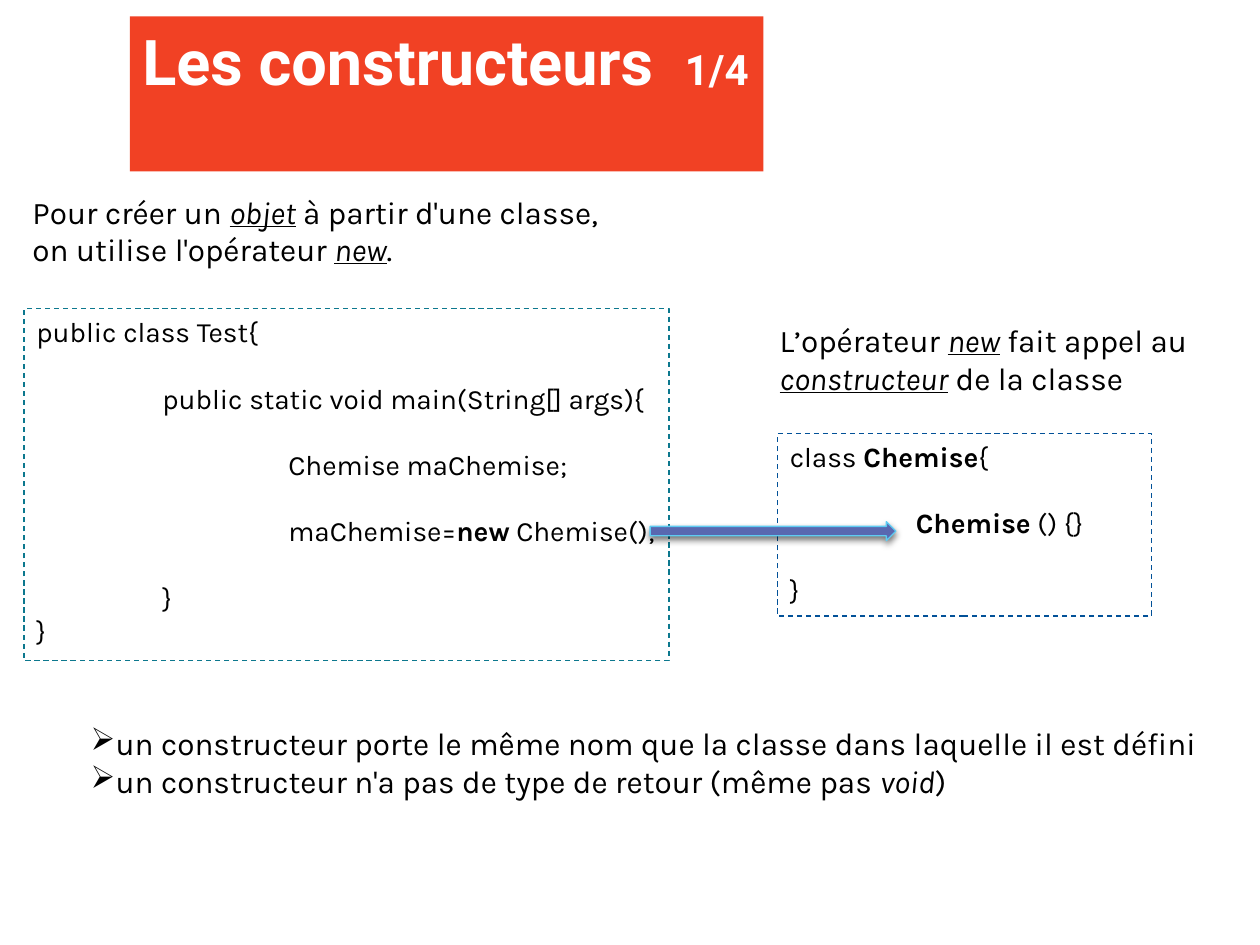
from lxml import etree
from pptx import Presentation
from pptx.dml.color import RGBColor
from pptx.enum.dml import MSO_LINE_DASH_STYLE as DASH
from pptx.enum.shapes import MSO_SHAPE as SHAPE
from pptx.enum.text import MSO_ANCHOR as ANCHOR, MSO_AUTO_SIZE as AUTO, PP_ALIGN as ALIGN
from pptx.oxml import parse_xml
from pptx.oxml.ns import nsdecls, qn
from pptx.util import Inches, Pt


def rgb(value):
    return RGBColor.from_string(value)


def place(sp, box):
    sp.left, sp.top, sp.width, sp.height = map(Inches, box)


def add_runs(p, parts, size, font="Karla", color="000000"):
    """Add (text, style) parts; style letters are b, i and u."""
    for text, style in parts:
        r = p.add_run()
        r.text = text
        f = r.font
        f.name, f.size = font, Pt(size)
        f.color.rgb = rgb(color)
        f.bold, f.italic, f.underline = (key in style for key in "biu")


def add_title(s, box):
    sp = s.shapes.title
    place(sp, box)
    sp.fill.solid()
    sp.fill.fore_color.rgb = rgb("F14124")
    tf = sp.text_frame
    tf.auto_size = AUTO.NONE
    tf.vertical_anchor = ANCHOR.TOP
    p = tf.paragraphs[0]
    p.alignment = ALIGN.LEFT
    for text, size in (("Les constructeurs  ", 36), ("1/4", 24)):
        add_runs(p, [(text, "b")], size, "Roboto", "FFFFFF")


def add_text(s, box, paragraphs, bullet=None):
    tf = s.shapes.add_textbox(*map(Inches, box)).text_frame
    tf.word_wrap = True
    for i, parts in enumerate(paragraphs):
        p = tf.add_paragraph() if i else tf.paragraphs[0]
        add_runs(p, parts, 18)
        if bullet:
            pPr = p._p.get_or_add_pPr()
            pPr.set("marL", "0")
            pPr.set("indent", "0")
            etree.SubElement(pPr, qn("a:buChar")).set("char", bullet)


def add_code(s, box, line_color, lines, wrap=True):
    """Add a dashed code frame; each line is (indent level, gap before, parts)."""
    sp = s.shapes.add_shape(SHAPE.RECTANGLE, *map(Inches, box))
    sp.shadow.inherit = False
    sp.fill.background()
    sp.line.color.rgb = rgb(line_color)
    sp.line.width = Pt(0.75)
    sp.line.dash_style = DASH.DASH
    tf = sp.text_frame
    tf.word_wrap = wrap
    tf.vertical_anchor = ANCHOR.TOP
    for i, (level, gap, parts) in enumerate(lines):
        p = tf.add_paragraph() if i else tf.paragraphs[0]
        p.alignment = ALIGN.LEFT
        p.space_before = Pt(gap)
        p._p.get_or_add_pPr().set("marL", str(Inches(level)))
        add_runs(p, parts, 16)


def add_call_arrow(s, box):
    sp = s.shapes.add_shape(SHAPE.RIGHT_ARROW, *map(Inches, box))
    sp.fill.solid()
    sp.fill.fore_color.rgb = rgb("5968B0")
    sp.line.color.rgb = rgb("5ECCF3")
    sp.line.width = Pt(0.75)
    sp._element.spPr.append(parse_xml(
        f'<a:effectLst {nsdecls("a")}>'
        f'<a:outerShdw blurRad="{Pt(4)}" dist="{Pt(2)}" dir="5400000" rotWithShape="0">'
        '<a:srgbClr val="000000"><a:alpha val="55000"/></a:srgbClr>'
        '</a:outerShdw></a:effectLst>'))


def main():
    prs = Presentation()
    prs.slide_width, prs.slide_height = Inches(10), Inches(7.5)
    s = prs.slides.add_slide(prs.slide_layouts[5])
    gap = 18.7  # one line of code

    add_title(s, (1.03, 0.13, 5.03, 1.23))
    add_text(s, (0.62, 5.7, 8.98, 0.71), [
        [("un constructeur porte le même nom que la classe dans laquelle il est défini", "")],
        [("un constructeur n'a pas de type de retour (même pas ", ""), ("void", "i"), (")", "")],
    ], bullet="➢")
    add_text(s, (0.16, 1.48, 5, 0.71), [[
        ("Pour créer un ", ""), ("objet", "iu"),
        (" à partir d'une classe, on utilise l'opérateur ", ""), ("new", "iu"), (".", "")]])
    add_code(s, (0.19, 2.45, 5.12, 2.79), "0C788E", [
        (0, 0, [("public class Test{", "")]),
        (1, gap, [("public static void main(String[] args){", "")]),
        (2, gap, [("Chemise maChemise;", "")]),
        (2, gap, [("maChemise=", ""), ("new", "b"), (" Chemise();", "")]),
        (1, gap, [("}", "")]),
        (0, 0, [("}", "")]),
    ], wrap=False)
    add_text(s, (6.09, 2.5, 4.14, 0.71), [[
        ("L’opérateur ", ""), ("new", "iu"), (" fait appel au ", ""),
        ("constructeur", "iu"), (" de la classe", "")]])
    add_code(s, (6.17, 3.44, 2.97, 1.45), "025198", [
        (0, 0, [("class ", ""), ("Chemise", "b"), ("{", "")]),
        (1, gap, [("Chemise", "b"), (" () {}", "")]),
        (0, gap, [("}", "")]),
    ])
    add_call_arrow(s, (5.16, 4.14, 1.95, 0.15))
    prs.save("out.pptx")


if __name__ == "__main__":
    main()
